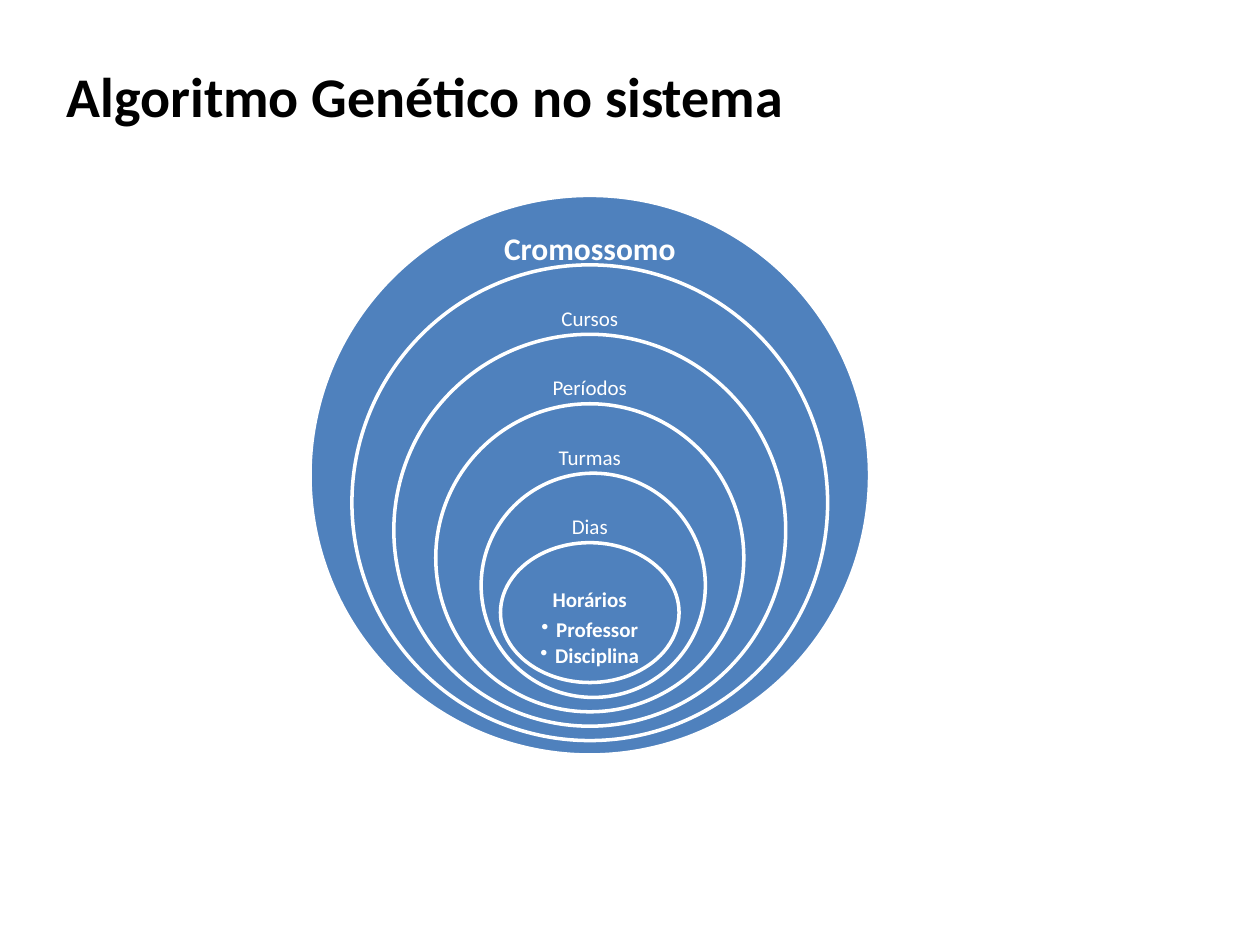
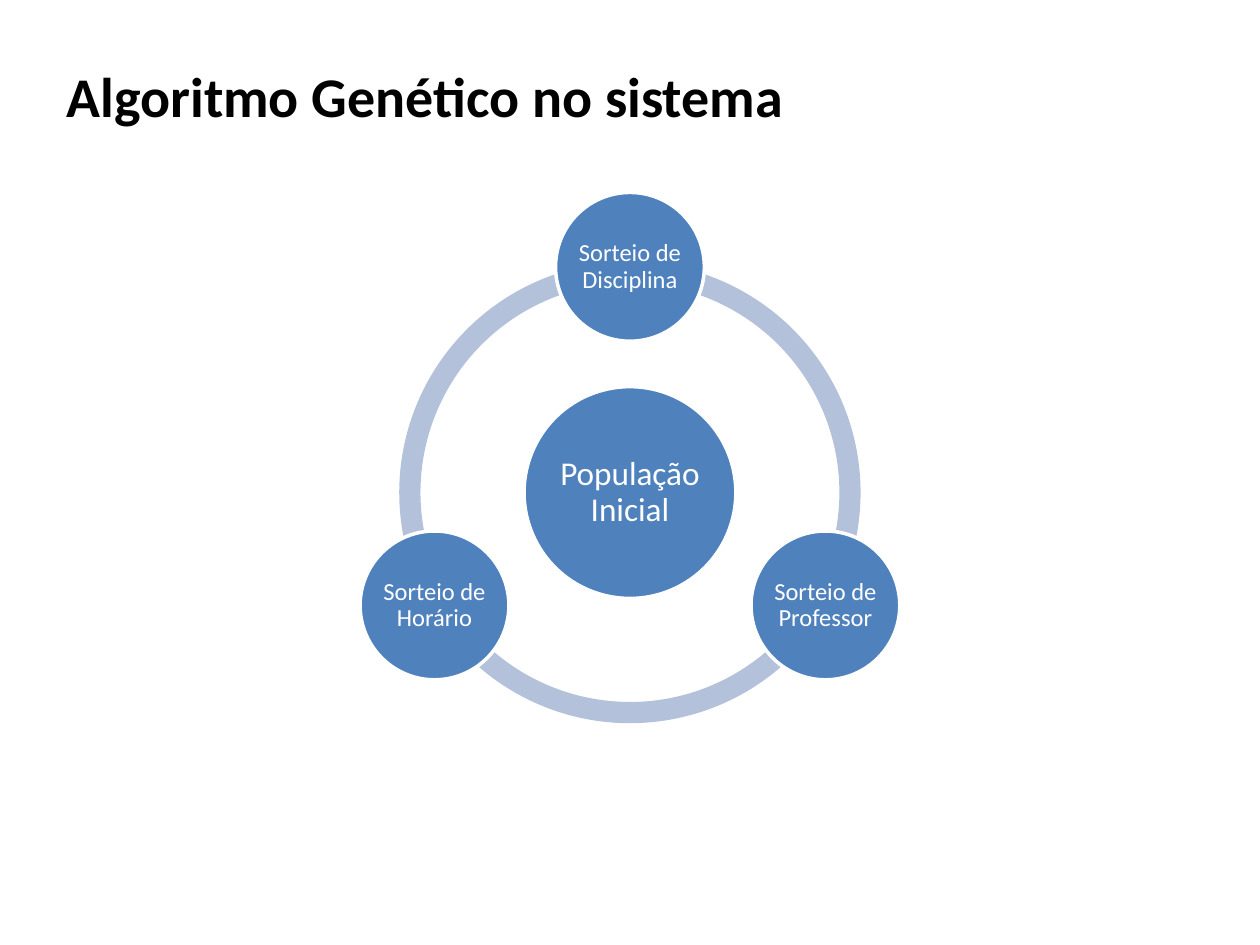
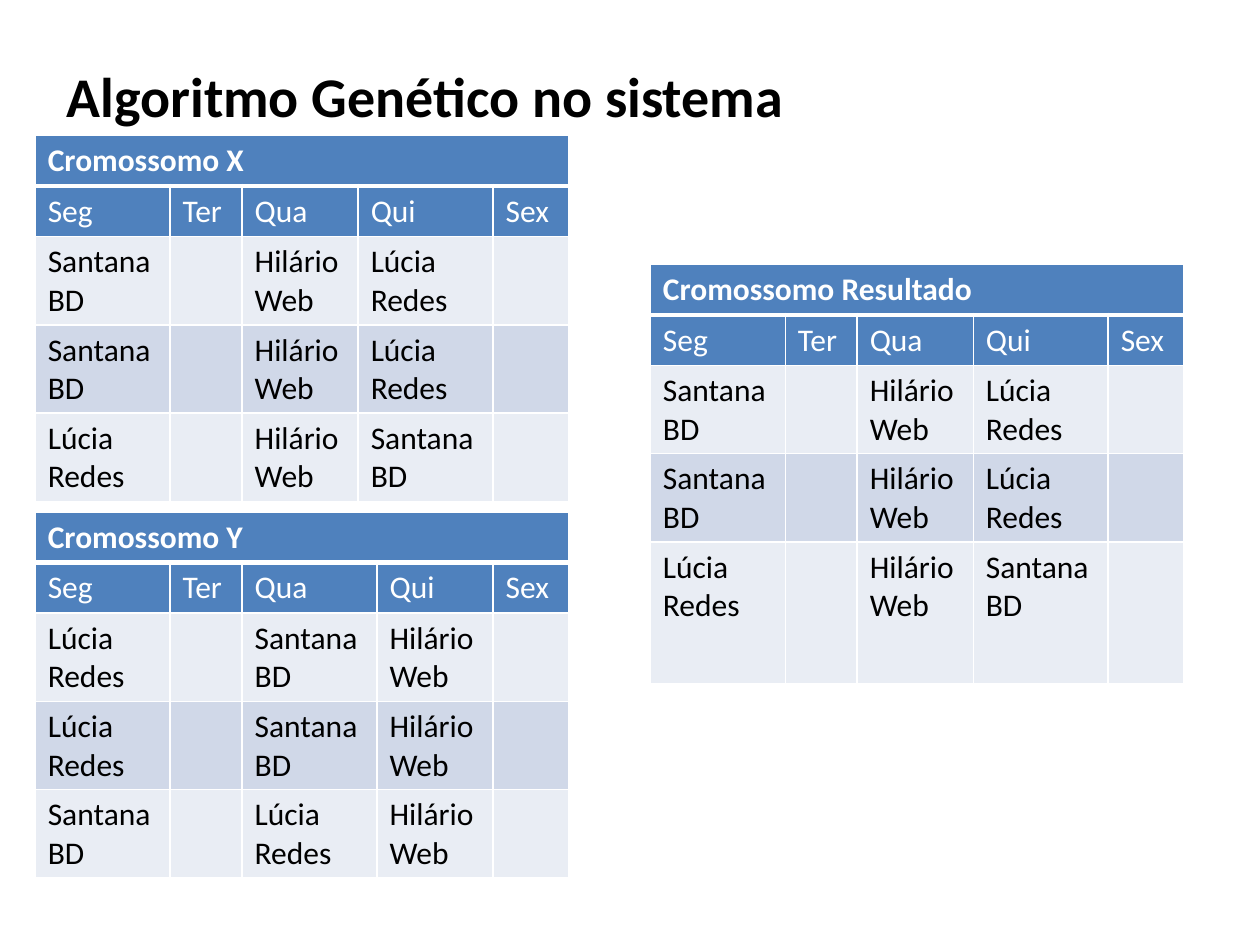
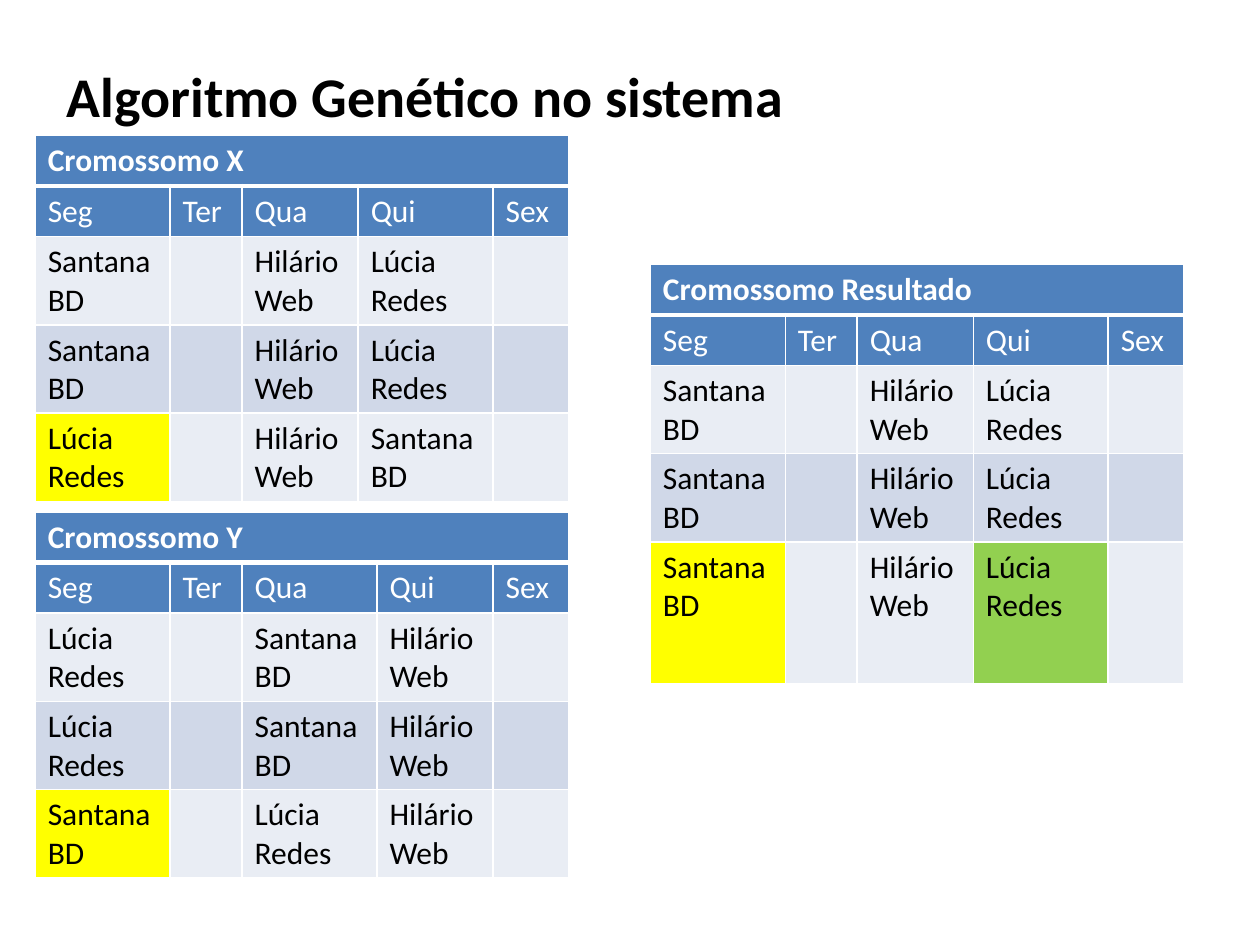
from collections import namedtuple
from math import cos, radians, sin

from lxml import etree
from pptx import Presentation
from pptx.dml.color import RGBColor
from pptx.enum.shapes import MSO_SHAPE
from pptx.enum.text import MSO_ANCHOR, MSO_AUTO_SIZE, PP_ALIGN
from pptx.oxml.ns import qn
from pptx.util import Cm, Pt

ELLIPSE, ARC = MSO_SHAPE.OVAL, MSO_SHAPE.BLOCK_ARC
TOP, MIDDLE = MSO_ANCHOR.TOP, MSO_ANCHOR.MIDDLE
LEFT, CENTER = PP_ALIGN.LEFT, PP_ALIGN.CENTER
GROW = MSO_AUTO_SIZE.SHAPE_TO_FIT_TEXT

FONT = "Calibri"
BLUE, PALE_BLUE, WHITE, BLACK = "4F81BD", "B3C1DB", "FFFFFF", "000000"
BANDS = ("E9EDF4", "D0D8E8")
YELLOW, GREEN = "FFFF00", "92D050"
TITLE = "Algoritmo Genético no sistema"

# All boxes are in centimetres
Box = namedtuple("Box", "left top width height")
TITLE_BOX = Box(1.09, 1.12, 23.39, 1.63)


def color(hex_value):
    return RGBColor.from_string(hex_value)


def lengths(box):
    return [Cm(value) for value in box]


def centered(x, y, width, height):
    return Box(x - width / 2, y - height / 2, width, height)


def add_span(para, text, size, ink, bold=False):
    span = para.add_run()
    span.text = text
    span.font.name = FONT
    span.font.size = Pt(size)
    span.font.bold = bold
    span.font.color.rgb = color(ink)


def add_page(deck):
    page = deck.slides.add_slide(deck.slide_layouts[5])
    title = page.shapes.title
    title.left, title.top, title.width, title.height = lengths(TITLE_BOX)
    frame = title.text_frame
    frame.word_wrap = True
    frame.auto_size = GROW
    frame.vertical_anchor = TOP
    para = frame.paragraphs[0]
    para.alignment = LEFT
    add_span(para, TITLE, 32, BLACK, True)
    return page


def add_figure(shapes, kind, box, fill, outline=None):
    figure = shapes.add_shape(kind, *lengths(box))
    figure.shadow.inherit = False
    figure.fill.solid()
    figure.fill.fore_color.rgb = color(fill)
    if outline:
        figure.line.color.rgb = color(outline)
        figure.line.width = Pt(2)
    else:
        figure.line.fill.background()
    return figure


def add_bullet(para):
    para.level = 1
    properties = para._p.get_or_add_pPr()
    properties.set("marL", str(Cm(0.3)))
    properties.set("indent", str(-Cm(0.3)))
    etree.SubElement(properties, qn("a:buChar")).set("char", "•")


def add_label(shapes, box, text, size, inset, bold=False, bullets=(), anchor=MIDDLE):
    frame = shapes.add_textbox(*lengths(box)).text_frame
    frame.word_wrap = True
    frame.vertical_anchor = anchor
    frame.margin_left = frame.margin_right = Cm(inset)
    frame.margin_top = frame.margin_bottom = Cm(inset)
    for index, line in enumerate((text, *bullets)):
        para = frame.add_paragraph() if index else frame.paragraphs[0]
        para.alignment = CENTER
        para.line_spacing = 0.9
        para.space_after = Pt(size * (0.15 if index else 0.35))
        if index:
            add_bullet(para)
        add_span(para, line, size, WHITE, bold)


def add_nested_circles(page, box):
    """Circles that shrink towards the bottom, each with a label at its top."""
    shapes = page.shapes.add_group_shape().shapes
    middle = box.left + box.width / 2
    drop, shrink = 1.4, 1.69
    # label, label width, shift of the circle to the right
    rings = [("Cromossomo", 4.24, 0), ("Cursos", 4.14, 0), ("Períodos", 4.09, 0),
             ("Turmas", 3.35, 0), ("Dias", 2.95, 0.07)]
    for index, (text, label_width, shift) in enumerate(rings):
        size = box.width - index * shrink
        top = box.top + index * drop
        add_figure(shapes, ELLIPSE, Box(middle - size / 2 + shift, top, size, size), BLUE, WHITE)
        label_box = Box(middle - label_width / 2, top + 0.55, label_width, 1.11)
        outermost = index == 0
        add_label(shapes, label_box, text, 18 if outermost else 12,
                  0.36 if outermost else 0.23, outermost)

    # Innermost ellipse with its list
    top = box.top + len(rings) * drop
    add_figure(shapes, ELLIPSE, Box(middle - 1.8, top, 3.6, 2.82), BLUE, WHITE)
    add_label(shapes, Box(middle - 1.27, top + 0.71, 2.54, 1.42), "Horários", 12, 0.23,
              True, ("Professor", "Disciplina"), TOP)


def add_radial_cycle(page, box):
    """A hub within a ring of arcs that carries three satellites."""
    shapes = page.shapes.add_group_shape().shapes
    x, y = box.left + box.width / 2, box.top + box.height / 2

    # Ring
    for start, end in ((90, 162), (18, 90), (162, 18)):
        arc = add_figure(shapes, ARC, box, PALE_BLUE)
        for index, value in enumerate((start * 0.6, end * 0.6, 0.046)):
            arc.adjustments[index] = value

    # Hub and satellites
    orbit = 4.55
    discs = [("População Inicial", x, y, 4.27, 19, 0.08)]
    for index, subject in enumerate(("Disciplina", "Professor", "Horário")):
        angle = radians(120 * index - 90)
        discs.append((f"Sorteio de {subject}", x + orbit * cos(angle),
                      y + orbit * sin(angle), 3, 14, 0.05))
    for text, disc_x, disc_y, diameter, size, inset in discs:
        disc_box = centered(disc_x, disc_y, diameter, diameter)
        add_figure(shapes, ELLIPSE, disc_box, BLUE, WHITE)
        add_label(shapes, disc_box, text, size, inset)


def add_borders(cell, top, bottom):
    properties = cell._tc.get_or_add_tcPr()
    for side, width in (("L", 1), ("R", 1), ("T", top), ("B", bottom)):
        line = etree.SubElement(properties, qn(f"a:ln{side}"), w=str(Pt(width)))
        fill = etree.SubElement(line, qn("a:solidFill"))
        etree.SubElement(fill, qn("a:srgbClr"), val=WHITE)


def fill_cell(cell, lines, fill, ink, bold, top=1, bottom=1):
    add_borders(cell, top, bottom)
    cell.fill.solid()
    cell.fill.fore_color.rgb = color(fill)
    frame = cell.text_frame
    for index, line in enumerate(lines):
        para = frame.add_paragraph() if index else frame.paragraphs[0]
        add_span(para, line, 18, ink, bold)


def add_schedule(page, box, heading, lessons, columns, rows, marks):
    """A week table; marks maps (lesson row, day) to a highlight colour."""
    table = page.shapes.add_table(len(rows), len(columns), *lengths(box)).table
    for column, width in zip(table.columns, columns):
        column.width = Cm(width)
    for row, height in zip(table.rows, rows):
        row.height = Cm(height)

    # Heading and days
    for day, name in enumerate(("Seg", "Ter", "Qua", "Qui", "Sex")):
        fill_cell(table.cell(0, day), () if day else (heading,), BLUE, WHITE, True, bottom=3)
        fill_cell(table.cell(1, day), (name,), BLUE, WHITE, False, top=3)
    table.cell(0, 0).merge(table.cell(0, len(columns) - 1))

    # Lessons
    for index, week in enumerate(lessons):
        for day, lesson in enumerate(week):
            fill = marks.get((index, day), BANDS[index % 2])
            fill_cell(table.cell(index + 2, day), lesson, fill, BLACK, False)


DATABASE, WEB, NETWORKS, FREE = ("Santana", "BD"), ("Hilário", "Web"), ("Lúcia", "Redes"), ()
DATABASE_FIRST = (DATABASE, FREE, WEB, NETWORKS, FREE)
NETWORKS_FIRST = (NETWORKS, FREE, WEB, DATABASE, FREE)
PARENT_X = (DATABASE_FIRST, DATABASE_FIRST, NETWORKS_FIRST)
PARENT_Y = ((NETWORKS, FREE, DATABASE, WEB, FREE),) * 2 + ((DATABASE, FREE, NETWORKS, WEB, FREE),)
REPAIRED = (DATABASE_FIRST,) * 3

WIDE_THURSDAY = (2.72, 1.45, 2.34, 2.72, 1.52)
WIDE_WEDNESDAY = (2.72, 1.45, 2.72, 2.34, 1.52)
PARENT_ROWS = (1.02, 1.02, 1.76, 1.76, 1.76)
RESULT_ROWS = (0.89, 0.89, 1.57, 1.57, 2.87)


def add_crossover(page, result, parent_marks, result_marks):
    add_schedule(page, Box(0.71, 2.73, 10.75, 7.32), "Cromossomo X", PARENT_X,
                 WIDE_THURSDAY, PARENT_ROWS, parent_marks)
    add_schedule(page, Box(13.11, 5.33, 10.75, 7.79), "Cromossomo Resultado", result,
                 WIDE_THURSDAY, RESULT_ROWS, result_marks)
    add_schedule(page, Box(0.71, 10.32, 10.75, 7.32), "Cromossomo Y", PARENT_Y,
                 WIDE_WEDNESDAY, PARENT_ROWS, parent_marks)


deck = Presentation()
deck.slide_width, deck.slide_height = Cm(25.4), Cm(19.05)

add_nested_circles(add_page(deck), Box(6.25, 3.94, 11.28, 11.28))
add_radial_cycle(add_page(deck), Box(8.05, 5.28, 9.3, 9.3))
add_crossover(add_page(deck), PARENT_X, {}, {})
add_crossover(add_page(deck), REPAIRED, {(2, 0): YELLOW}, {(2, 0): YELLOW, (2, 3): GREEN})

deck.save("out.pptx")
